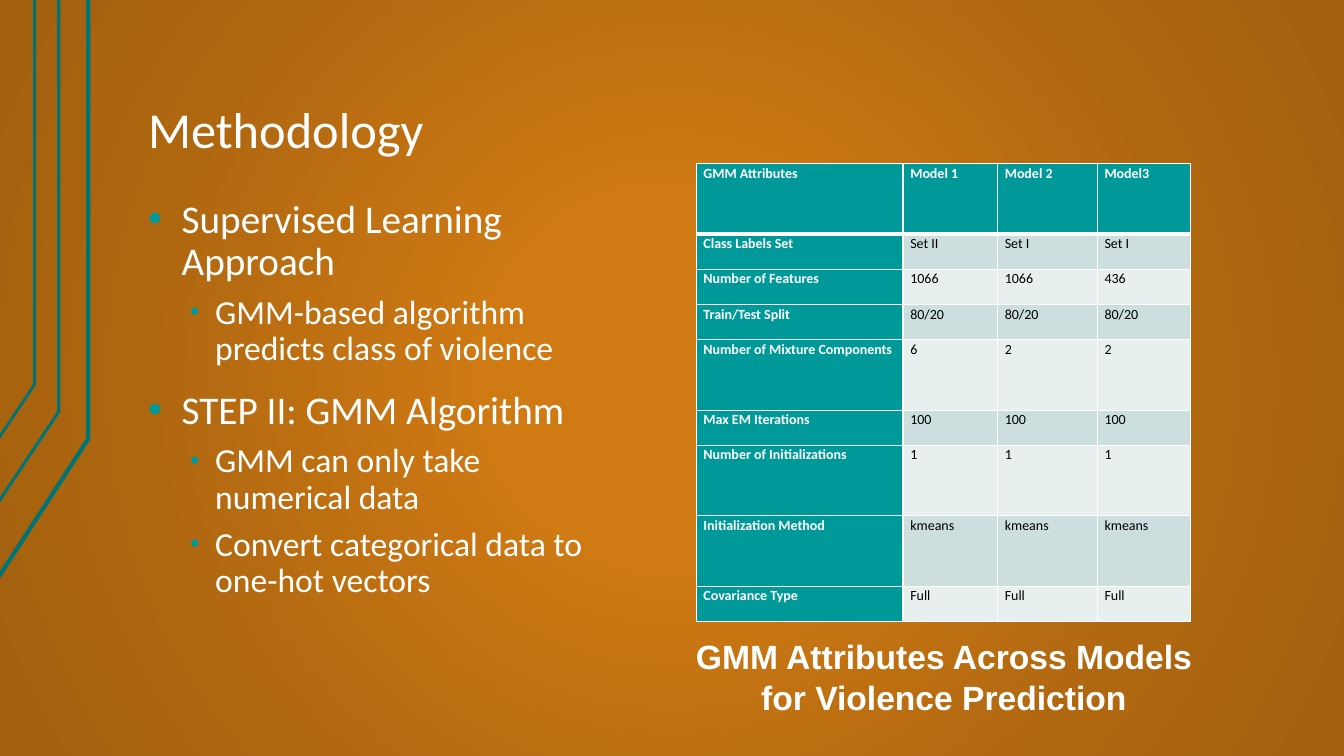
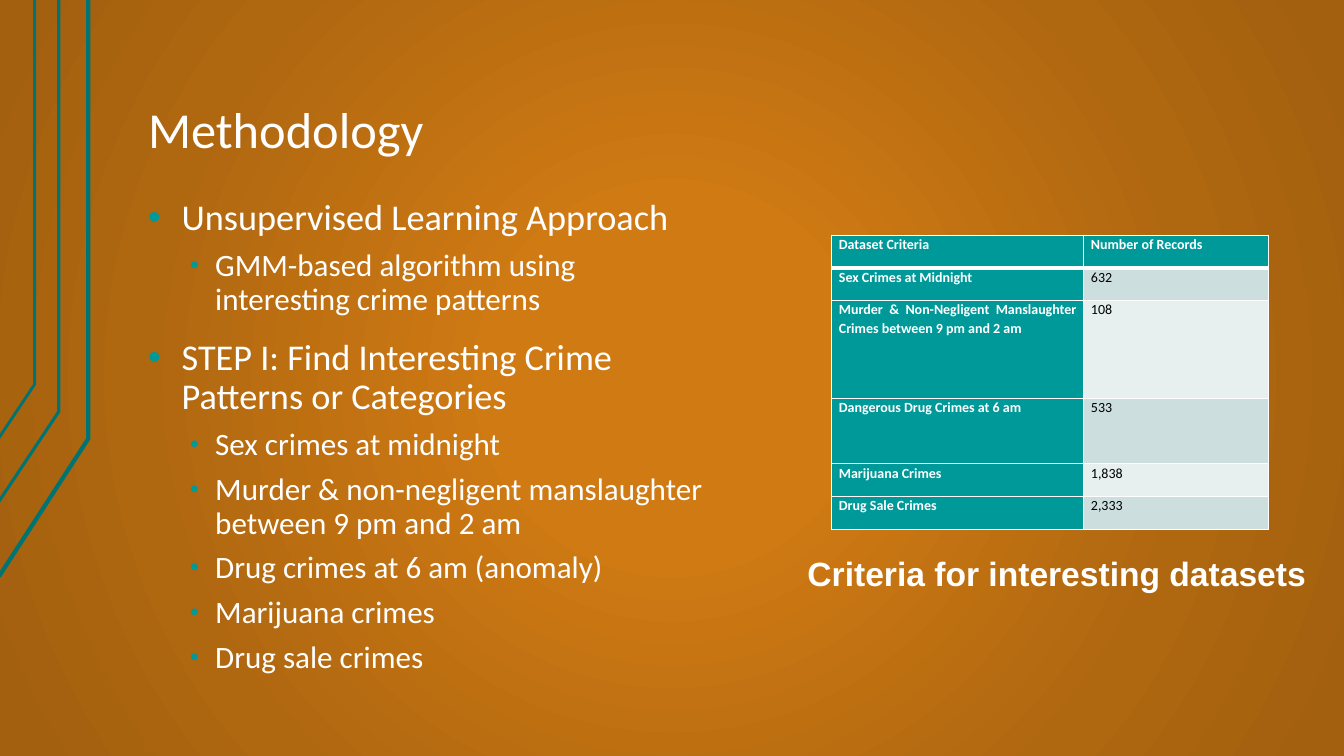
from pptx import Presentation, util as u
from pptx.dml.color import RGBColor
from pptx.enum import text
from pptx.oxml import ns, parse_xml

PX = 9525
SLIDE_SIZE = (1280, 720)
COLORS = {
    "white": "FFFFFF", "black": "000000", "teal": "009999", "ribbon": "007373",
    "band_dark": "CCDEDE", "band_light": "E7EFEF",
    "glow": "CF7A13", "amber": "AF6710", "edge": "A3600F",
}
BACKGROUND_STOPS = [(0, "glow"), (23, "glow"), (69, "amber"), (97, "edge")]
RIBBONS = [
    ([(-1, 549), (84, 418), (84, 0)], 3),
    ([(-2, 479), (56, 392), (56, 0)], 2.25),
    ([(-1, 417), (33, 366), (33, 0)], 2),
]
TITLE_BOX = (128, 29, 1088, 129)
TEXT_MARGINS = (13, 6, 13, 6)
CELL_MARGINS = (7, 0, 7, 0)
CAPTION_MARGINS = (10, 5, 10, 5)
# Per bullet level: left indent, hanging indent, space before, bullet size in percent
BULLET_LEVELS = [(32, 32, 16, 100), (64, 24, 8, 80)]

SLIDES = [
    {
        "title": "Methodology",
        "body_box": (128, 184, 464, 468),
        "body_sizes": (28, 24),
        "bullets": [
            (0, "Supervised Learning Approach"),
            (1, "GMM-based algorithm predicts class of violence"),
            (0, "STEP II: GMM Algorithm"),
            (1, "GMM can only take numerical data"),
            (1, "Convert categorical data to one-hot vectors"),
        ],
        "table_box": (663, 156, 471, 436),
        "columns": (197, 90, 95, 89),
        "row_spans": (2, 1, 1, 1, 2, 1, 2, 2, 1),
        "rows": [
            ("GMM Attributes", "Model 1", "Model 2", "Model3"),
            ("Class Labels Set", "Set II", "Set I", "Set I"),
            ("Number of Features", "1066", "1066", "436"),
            ("Train/Test Split", "80/20", "80/20", "80/20"),
            ("Number of Mixture Components", "6", "2", "2"),
            ("Max EM Iterations", "100", "100", "100"),
            ("Number of Initializations", "1", "1", "1"),
            ("Initialization Method", "kmeans", "kmeans", "kmeans"),
            ("Covariance Type", "Full", "Full", "Full"),
        ],
        "caption_box": (648, 601, 502, 87),
        "caption": "GMM Attributes Across Models for Violence Prediction",
        "caption_align": text.PP_ALIGN.CENTER,
    },
    {
        "title": "Methodology",
        "body_box": (128, 184, 560, 468),
        "body_sizes": (25.9, 22.2),
        "bullets": [
            (0, "Unsupervised Learning Approach"),
            (1, "GMM-based algorithm using interesting crime patterns"),
            (0, "STEP I: Find Interesting Crime Patterns or Categories"),
            (1, "Sex crimes at midnight"),
            (1, "Murder & non-negligent manslaughter between 9 pm and 2 am"),
            (1, "Drug crimes at 6 am (anomaly)"),
            (1, "Marijuana crimes"),
            (1, "Drug sale crimes"),
        ],
        "table_box": (792, 224, 416, 280),
        "columns": (240, 176),
        "row_spans": (1, 1, 3, 2, 1, 1),
        "rows": [
            ("Dataset Criteria", "Number of Records"),
            ("Sex Crimes at Midnight", "632"),
            ("Murder & Non-Negligent Manslaughter Crimes between 9 pm and 2 am", "108"),
            ("Dangerous Drug Crimes at 6 am", "533"),
            ("Marijuana Crimes", "1,838"),
            ("Drug Sale Crimes", "2,333"),
        ],
        "caption_box": (759, 522, 521, 48),
        "caption": "Criteria for interesting datasets",
        "caption_align": text.PP_ALIGN.LEFT,
    },
]


def emu(lengths):
    return [length * PX for length in lengths]


def color(name):
    return RGBColor.from_string(COLORS[name])


def drawing_xml(tag, attributes="", content=""):
    return parse_xml(f'<a:{tag} {ns.nsdecls("a")} {attributes}>{content}</a:{tag}>')


def color_xml(name):
    return f'<a:srgbClr val="{COLORS[name]}"/>'


def set_margins(target, margins):
    (target.margin_left, target.margin_top,
     target.margin_right, target.margin_bottom) = emu(margins)


def set_font(paragraph, size, name="Calibri", color_name="white", bold=False):
    font = paragraph.font
    font.name, font.size, font.bold = name, u.Pt(size), bold
    font.color.rgb = color(color_name)


def add_text_frame(slide, box, margins):
    frame = slide.shapes.add_textbox(*emu(box)).text_frame
    frame.word_wrap = True
    set_margins(frame, margins)
    return frame


def paint_background(slide):
    slide.background.fill.gradient()
    gradient = slide.element.find(".//" + ns.qn("a:gradFill"))
    stops = "".join(f'<a:gs pos="{position * 1000}">{color_xml(name)}</a:gs>'
                    for position, name in BACKGROUND_STOPS)
    center = '<a:fillToRect l="50000" t="50000" r="50000" b="50000"/>'
    radial = drawing_xml("gradFill", 'rotWithShape="1"',
                         f'<a:gsLst>{stops}</a:gsLst><a:path path="circle">{center}</a:path>')
    gradient.getparent().replace(gradient, radial)


def add_ribbons(slide):
    """Draw the bent lines along the left edge."""
    for (start, *bends), width in RIBBONS:
        builder = slide.shapes.build_freeform(*start, scale=PX)
        builder.add_line_segments(bends, close=False)
        ribbon = builder.convert_to_shape()
        ribbon.shadow.inherit = False
        ribbon.fill.background()
        ribbon.line.color.rgb = color("ribbon")
        ribbon.line.width = u.Pt(width)


def add_title(slide, box, title):
    frame = add_text_frame(slide, box, TEXT_MARGINS)
    frame.vertical_anchor = text.MSO_ANCHOR.BOTTOM
    paragraph = frame.paragraphs[0]
    paragraph.text = title
    paragraph.line_spacing = 0.9
    set_font(paragraph, 36)


def add_bullets(slide, box, bullets, sizes):
    frame = add_text_frame(slide, box, TEXT_MARGINS)
    for index, (level, content) in enumerate(bullets):
        paragraph = frame.add_paragraph() if index else frame.paragraphs[0]
        paragraph.text = content
        paragraph.level = level
        left, hanging, space_before, bullet_percent = BULLET_LEVELS[level]
        properties = paragraph._p.get_or_add_pPr()
        properties.set("marL", str(left * PX))
        properties.set("indent", str(-hanging * PX))
        properties.extend([
            drawing_xml("buClr", content=color_xml("teal")),
            drawing_xml("buSzPct", f'val="{bullet_percent * 1000}"'),
            drawing_xml("buFont", 'typeface="Arial"'),
            drawing_xml("buChar", 'char="•"'),
        ])
        paragraph.line_spacing = 0.9
        if index:
            paragraph.space_before = u.Pt(space_before)
        set_font(paragraph, sizes[level])


def set_borders(cell, row):
    """Rule the cell in white, with a heavier line under the header row."""
    widths = {"lnL": 1, "lnR": 1, "lnT": 3 if row == 1 else 1, "lnB": 3 if row == 0 else 1}
    properties = cell._tc.get_or_add_tcPr()
    for index, (side, width) in enumerate(widths.items()):
        border = drawing_xml(side, f'w="{u.Pt(width)}"',
                             f'<a:solidFill>{color_xml("white")}</a:solidFill>')
        properties.insert(index, border)


def fill_cell(cell, content, row, column):
    heading = row == 0 or column == 0
    band = "band_dark" if row % 2 else "band_light"
    cell.fill.solid()
    cell.fill.fore_color.rgb = color("teal" if heading else band)
    set_margins(cell, CELL_MARGINS)
    set_borders(cell, row)
    paragraph = cell.text_frame.paragraphs[0]
    paragraph.text = content
    paragraph.alignment = text.PP_ALIGN.JUSTIFY
    paragraph.line_spacing = 1.07
    set_font(paragraph, 10, color_name="white" if heading else "black", bold=heading)


def add_data_table(slide, box, rows, columns, row_spans):
    table = slide.shapes.add_table(len(rows), len(columns), *emu(box)).table
    table.horz_banding = False
    for column, width in zip(table.columns, columns):
        column.width = width * PX
    for row, span in zip(table.rows, row_spans):
        row.height = box[3] * PX * span // sum(row_spans)
    for row, contents in enumerate(rows):
        for column, content in enumerate(contents):
            fill_cell(table.cell(row, column), content, row, column)


def add_caption(slide, box, caption, alignment):
    paragraph = add_text_frame(slide, box, CAPTION_MARGINS).paragraphs[0]
    paragraph.text = caption
    paragraph.alignment = alignment
    set_font(paragraph, 24, name="Arial", bold=True)


def add_methodology_slide(presentation, content):
    slide = presentation.slides.add_slide(presentation.slide_layouts[6])
    paint_background(slide)
    add_ribbons(slide)
    add_title(slide, TITLE_BOX, content["title"])
    add_bullets(slide, content["body_box"], content["bullets"], content["body_sizes"])
    add_data_table(slide, content["table_box"], content["rows"],
                   content["columns"], content["row_spans"])
    add_caption(slide, content["caption_box"], content["caption"], content["caption_align"])


def main():
    presentation = Presentation()
    presentation.slide_width, presentation.slide_height = emu(SLIDE_SIZE)
    for content in SLIDES:
        add_methodology_slide(presentation, content)
    presentation.save("out.pptx")


if __name__ == "__main__":
    main()
